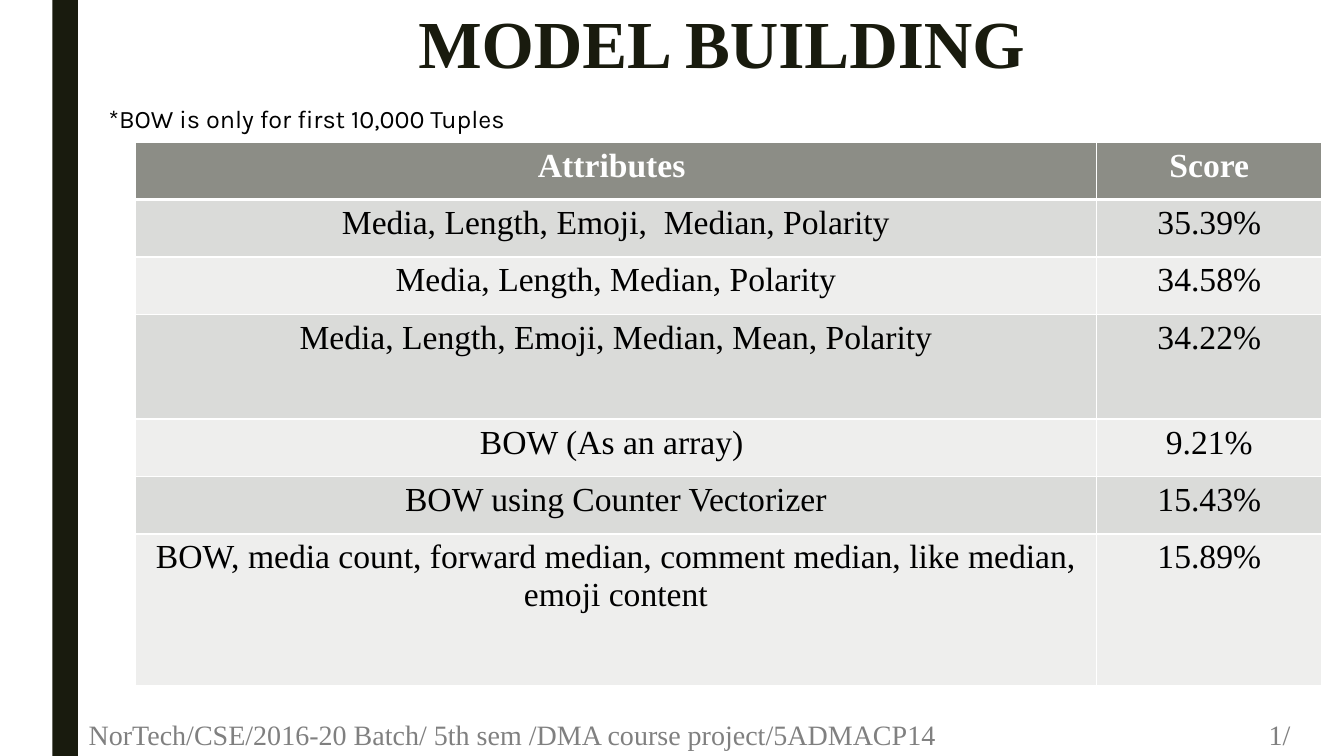
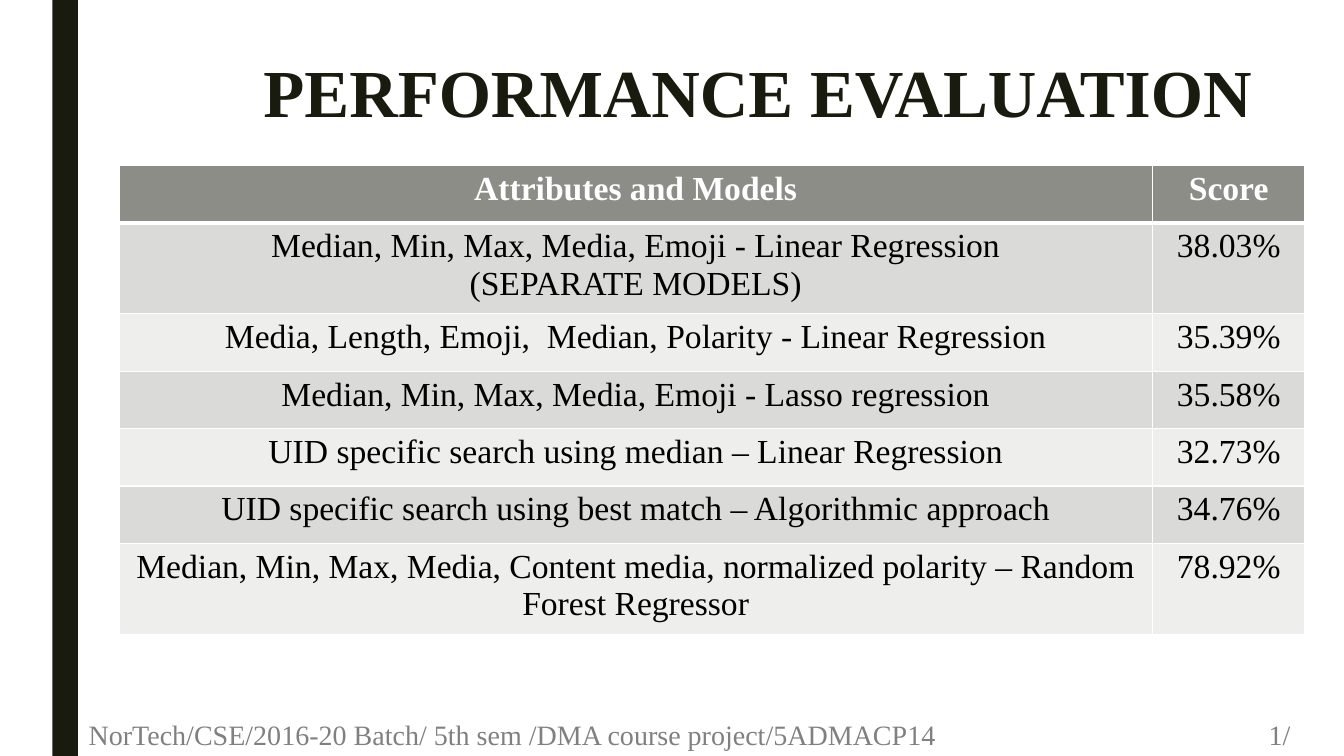
from lxml import etree
from pptx import Presentation, util as u
from pptx.dml.color import RGBColor
from pptx.enum import shapes, text
from pptx.oxml.ns import qn

DARK, WHITE, BLACK, GREY = "191B0E", "FFFFFF", "000000", "808080"
HEADER, BANDS = "8C8D86", ("DADBD9", "EEEEED")
SERIF, SANS = "Times New Roman", "Karla"
FOOTER = "NorTech/CSE/2016-20 Batch/ 5th sem /DMA course project/5ADMACP14\t1/"
ROW, TWO_LINES = 7.6, 11.1


def color(hex_string):
    return RGBColor.from_string(hex_string)


def add_cell_borders(cell, **weights):
    """Draw white borders; weights gives points for the sides L, R, T and B."""
    properties = cell._tc.get_or_add_tcPr()
    for side, points in weights.items():
        line = etree.SubElement(properties, qn(f"a:ln{side}"), w=str(u.Pt(points)))
        fill = etree.SubElement(line, qn("a:solidFill"))
        etree.SubElement(fill, qn("a:srgbClr"), val=WHITE)


class Deck:
    """Holds the style and the current slide; lengths are percent of the slide's size."""

    def __init__(self):
        self.presentation = Presentation()
        self.presentation.slide_width = u.Inches(13.33)
        self.presentation.slide_height = u.Inches(7.5)
        self.slide = None

    def across(self, percent):
        return round(self.presentation.slide_width * percent / 100)

    def down(self, percent):
        return round(self.presentation.slide_height * percent / 100)

    def box(self, left, top, width, height):
        return self.across(left), self.down(top), self.across(width), self.down(height)

    def format_text(self, frame, size, hex_string, font=SERIF, bold=False,
                    align=text.PP_ALIGN.CENTER, spacing=None):
        for paragraph in frame.paragraphs:
            paragraph.alignment = align
            paragraph.line_spacing = spacing
            for run in paragraph.runs:
                run.font.size, run.font.name, run.font.bold = u.Pt(size), font, bold
                run.font.color.rgb = color(hex_string)

    def start_slide(self, title, *place):
        layout = self.presentation.slide_layouts.get_by_name("Title Only")
        self.slide = self.presentation.slides.add_slide(layout)
        self.band(3.9, 0, 1.9, 100)
        self.title(title, *place)
        self.footer(5.85, 95.6, 94.15, 4.4)

    def band(self, *place):
        shape = self.slide.shapes.add_shape(shapes.MSO_SHAPE.RECTANGLE, *self.box(*place))
        shape.shadow.inherit = False
        shape.fill.solid()
        shape.fill.fore_color.rgb = color(DARK)
        shape.line.fill.background()

    def title(self, words, *place):
        shape = self.slide.shapes.title
        shape.left, shape.top, shape.width, shape.height = self.box(*place)
        frame = shape.text_frame
        frame.text = words
        frame.auto_size = text.MSO_AUTO_SIZE.NONE
        frame.vertical_anchor = text.MSO_ANCHOR.TOP
        self.format_text(frame, 48, DARK, bold=True, spacing=0.89)

    def footer(self, *place):
        frame = self.slide.shapes.add_textbox(*self.box(*place)).text_frame
        frame.text = FOOTER
        frame.word_wrap = True
        frame.vertical_anchor = text.MSO_ANCHOR.BOTTOM
        self.format_text(frame, 20, GREY, align=text.PP_ALIGN.LEFT, spacing=0.89)
        properties = frame.paragraphs[0]._p.get_or_add_pPr()
        tabs = etree.SubElement(properties, qn("a:tabLst"))
        etree.SubElement(tabs, qn("a:tab"), pos=str(u.Inches(11.92)), algn="r")

    def note(self, words, *place):
        frame = self.slide.shapes.add_textbox(*self.box(*place)).text_frame
        frame.text = words
        frame.word_wrap = False
        self.format_text(frame, 18, BLACK, font=SANS, align=text.PP_ALIGN.LEFT)

    def table(self, left, top, columns, rows):
        """Add a banded table; each row is its height followed by its cell texts."""
        height = sum(row[0] for row in rows)
        place = self.box(left, top, sum(columns), height)
        table = self.slide.shapes.add_table(len(rows), len(columns), *place).table
        for column, width in zip(table.columns, columns):
            column.width = self.across(width)
        for index, (row_height, *words) in enumerate(rows):
            table.rows[index].height = self.down(row_height)
            is_header = index == 0
            for cell, value in zip(table.rows[index].cells, words):
                cell.text = value
                self.format_text(cell.text_frame, 24, WHITE if is_header else BLACK,
                                 bold=is_header)
                add_cell_borders(cell, L=1, R=1, T=3 if index == 1 else 1,
                                 B=3 if is_header else 1)
                cell.fill.solid()
                cell.fill.fore_color.rgb = color(HEADER if is_header else BANDS[(index - 1) % 2])


def main():
    deck = Deck()

    deck.start_slide("MODEL BUILDING", 18.45, 0.8, 70.5, 19.2)
    deck.note("*BOW is only for first 10,000 Tuples", 7.35, 12.95, 31.3, 5.35)
    deck.table(10.05, 18.8, (71.55, 16.75), [
        (ROW, "Attributes ", "Score"),
        (ROW, "Media, Length, Emoji,  Median, Polarity", "35.39%"),
        (ROW, "Media, Length, Median, Polarity", "34.58%"),
        (13.85, "Media, Length, Emoji, Median, Mean, Polarity", "34.22%"),
        (ROW, "BOW (As an array) ", "9.21%"),
        (ROW, "BOW using Counter Vectorizer", "15.43%"),
        (20.1, "BOW, media count, forward median, comment median, like median, "
               "emoji content", "15.89%"),
    ])

    deck.start_slide("PERFORMANCE EVALUATION", 17.6, 7.3, 77.6, 19.2)
    deck.table(8.85, 21.9, (76.9, 11.35), [
        (ROW, "Attributes and Models", "Score"),
        (TWO_LINES, "Median, Min, Max, Media, Emoji - Linear Regression\n(SEPARATE MODELS)",
         "38.03%"),
        (ROW, "Media, Length, Emoji,  Median, Polarity - Linear Regression", "35.39%"),
        (ROW, "Median, Min, Max, Media, Emoji - Lasso regression", "35.58%"),
        (ROW, "UID specific search using median – Linear Regression", "32.73%"),
        (ROW, "UID specific search using best match – Algorithmic approach", "34.76%"),
        (TWO_LINES, "Median, Min, Max, Media, Content media, normalized polarity – "
                    "Random Forest Regressor", "78.92%"),
    ])

    deck.presentation.save("out.pptx")


if __name__ == "__main__":
    main()
